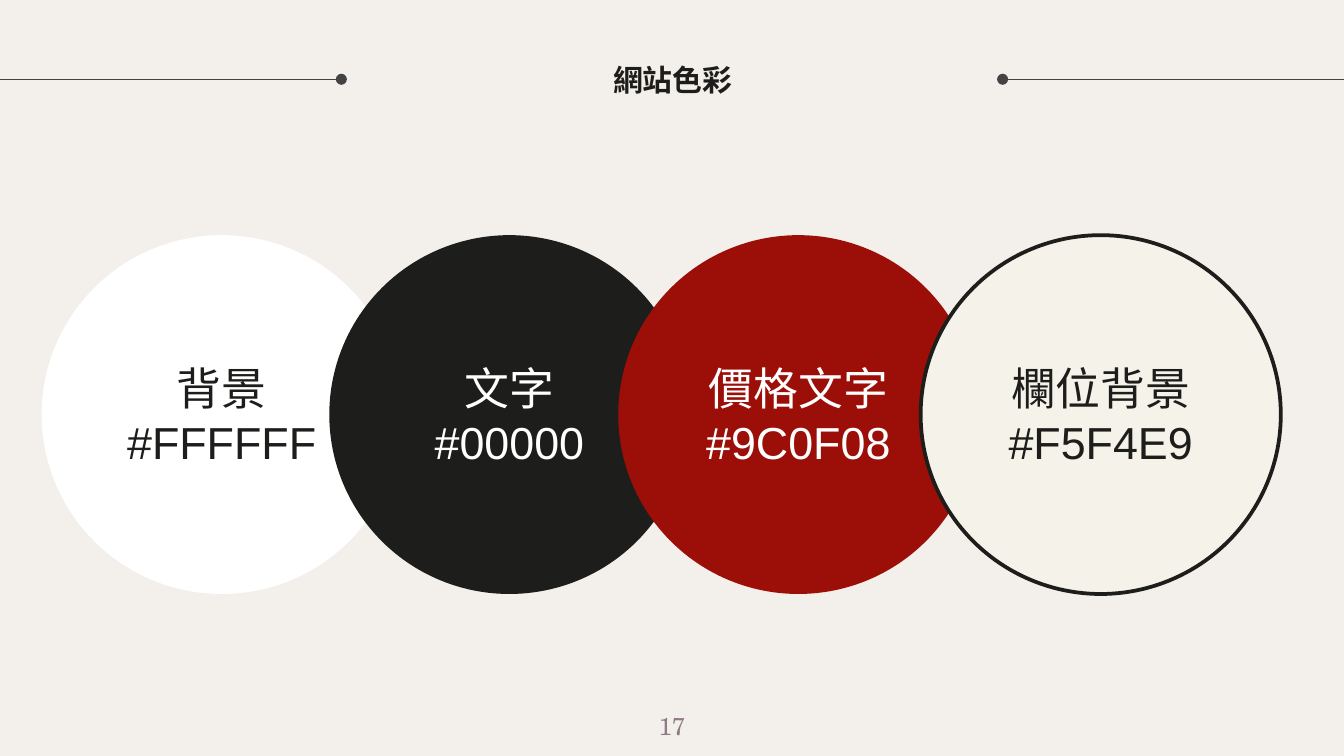
from lxml.etree import SubElement
from pptx import Presentation
from pptx.dml.color import RGBColor
from pptx.enum.shapes import MSO_CONNECTOR, MSO_SHAPE
from pptx.enum.text import MSO_ANCHOR, PP_ALIGN
from pptx.oxml.ns import qn
from pptx.util import Inches, Pt

COLORS = {
    "background": "F3EFEA",
    "ink": "1D1D1B",
    "white": "FFFFFF",
    "red": "9C0F08",
    "cream": "F5F2E9",
    "rule": "434343",
    "number": "8F7B87",
}
CJK = "Noto Sans CJK SC"
LATIN = "Arial"
SERIF = "TeX Gyre Schola"

SWATCHES = [
    (0.31, [["背景"], ["#FFFFFF"]], "white", "ink", None),
    (2.45, [["文字", "#00000"]], "ink", "white", None),
    (4.6, [["價格文字", "#9C0F08"]], "red", "white", None),
    (6.85, [["欄位背景"], ["#F5F4E9"]], "cream", "ink", "ink"),
]


def rgb(name):
    return RGBColor.from_string(COLORS[name])


def format_font(font, size, color, bold=False):
    font.size = Pt(size)
    font.bold = bold
    font.color.rgb = rgb(color)


def add_run(paragraph, text, font_name):
    run = paragraph.add_run()
    run.text = text
    run.font.name = font_name
    SubElement(run._r.get_or_add_rPr(), qn("a:ea"), typeface=font_name)


def fill_paragraph(paragraph, texts, size, color, bold=False, latin=LATIN):
    paragraph.alignment = PP_ALIGN.CENTER
    format_font(paragraph.font, size, color, bold)
    for text in texts:
        add_run(paragraph, text, latin if text.isascii() else CJK)


def format_frame(frame, anchor):
    frame.word_wrap = True
    frame.vertical_anchor = anchor
    frame.margin_left = frame.margin_right = Inches(0.1)
    frame.margin_top = frame.margin_bottom = Inches(0.1)


def add_title(slide, text):
    title = slide.shapes.title
    title.left, title.top = Inches(2.54), Inches(0.12)
    title.width, title.height = Inches(4.93), Inches(0.94)
    format_frame(title.text_frame, MSO_ANCHOR.MIDDLE)
    fill_paragraph(title.text_frame.paragraphs[0], [text], 16, "ink", True)


def add_rule(slide, start, end):
    y = Inches(0.59)
    rule = slide.shapes.add_connector(
        MSO_CONNECTOR.STRAIGHT, Inches(start), y, Inches(end), y
    )
    rule.line.color.rgb = rgb("rule")
    rule.line.width = Pt(0.75)
    SubElement(rule.line._get_or_add_ln(), qn("a:headEnd"), type="oval")
    SubElement(rule._element.spPr, qn("a:effectLst"))


def add_swatch(slide, left, paragraphs, fill, text_color, outline):
    circle = slide.shapes.add_shape(
        MSO_SHAPE.OVAL, Inches(left), Inches(1.75), Inches(2.68), Inches(2.67)
    )
    circle.shadow.inherit = False
    circle.fill.solid()
    circle.fill.fore_color.rgb = rgb(fill)
    if outline:
        circle.line.color.rgb = rgb(outline)
        circle.line.width = Pt(2)
    else:
        circle.line.fill.background()
    frame = circle.text_frame
    format_frame(frame, MSO_ANCHOR.MIDDLE)
    for index, texts in enumerate(paragraphs):
        paragraph = frame.add_paragraph() if index else frame.paragraphs[0]
        fill_paragraph(paragraph, texts, 24, text_color)


def add_page_number(slide, text):
    box = slide.shapes.add_textbox(
        Inches(4.7), Inches(5.19), Inches(0.6), Inches(0.43)
    )
    format_frame(box.text_frame, MSO_ANCHOR.TOP)
    fill_paragraph(box.text_frame.paragraphs[0], [text], 13, "number", latin=SERIF)


def main():
    presentation = Presentation()
    presentation.slide_width = Inches(10)
    presentation.slide_height = Inches(10 * 9 / 16)
    slide = presentation.slides.add_slide(presentation.slide_layouts[5])
    slide.background.fill.solid()
    slide.background.fill.fore_color.rgb = rgb("background")

    add_rule(slide, 2.54, -0.03)
    add_rule(slide, 7.46, 10.01)
    add_title(slide, "網站色彩")
    first, *others = SWATCHES
    add_swatch(slide, *first)
    add_page_number(slide, "17")
    for swatch in others:
        add_swatch(slide, *swatch)
    presentation.save("out.pptx")


if __name__ == "__main__":
    main()
